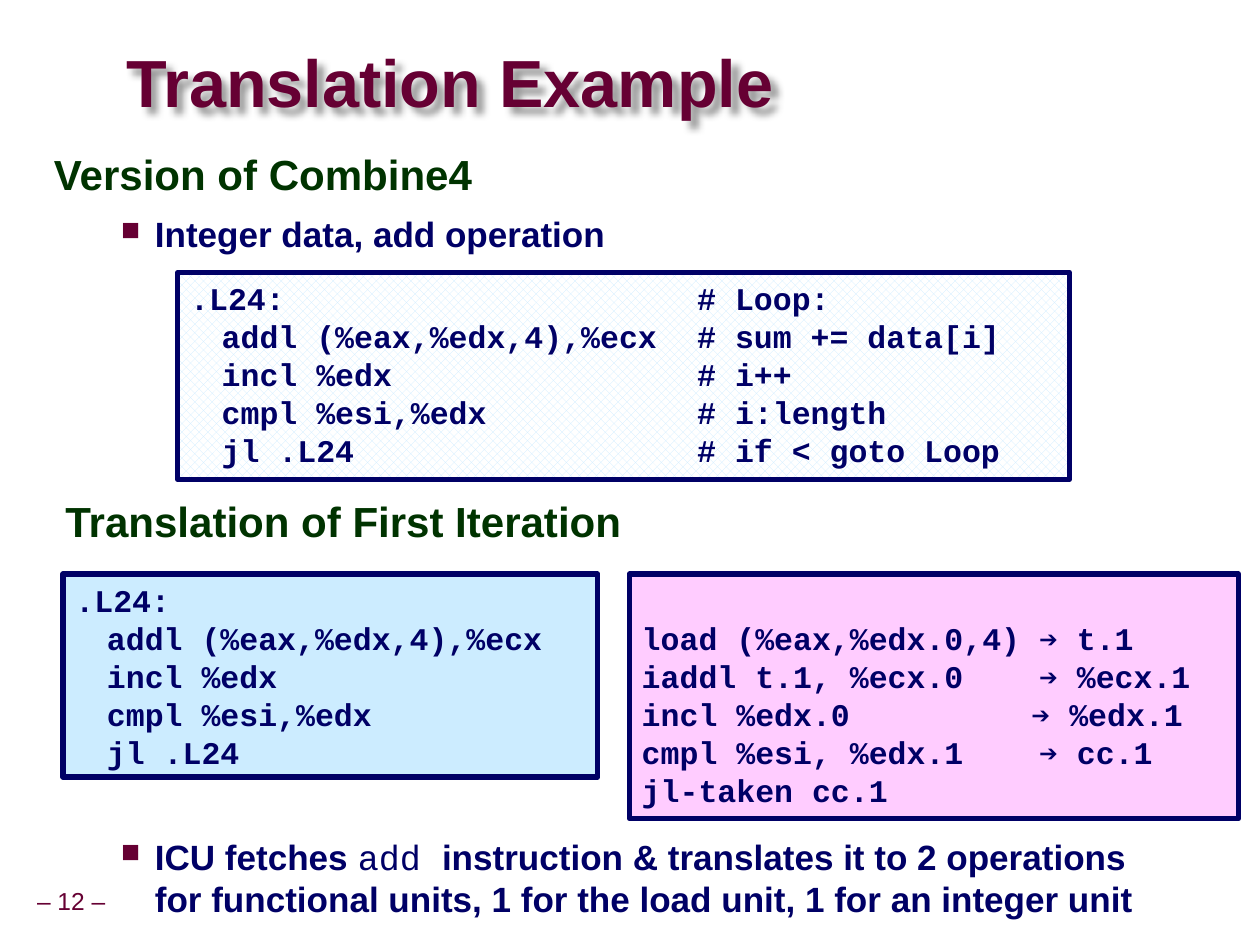
import pptx
import pptx.util
import pptx.dml.color
import pptx.enum.dml
import pptx.enum.shapes
import pptx.enum.text
import pptx.oxml
import pptx.oxml.ns

Inches, Pt = pptx.util.Inches, pptx.util.Pt
RGBColor = pptx.dml.color.RGBColor
Anchor = pptx.enum.text.MSO_ANCHOR

WINE = RGBColor(0x66, 0x00, 0x33)
GREEN = RGBColor(0x00, 0x33, 0x00)
NAVY = RGBColor(0x00, 0x00, 0x66)
SKY = RGBColor(0xCC, 0xEC, 0xFF)
PINK = RGBColor(0xFF, 0xCC, 0xFF)
WHITE = RGBColor(0xFF, 0xFF, 0xFF)
SANS, MONO = "Arial", "Courier New"

WIDTH, HEIGHT = 9.99, 7.49
TEXT_LEFT, TEXT_WIDTH = 0.33, 9.04
TITLE = "Translation Example"
PAGE = "– 12 –"
VERSION, VERSION_POINT = "Version of Combine4", "Integer data, add operation"
ITERATION = "Translation of First Iteration"
ICU_POINT = [
    ("ICU fetches ", SANS, True),
    ("add ", MONO, False),
    ("instruction & translates it to 2 operations for functional units, "
     "1 for the load unit, 1 for an integer unit", SANS, True),
]
ASSEMBLY = [
    (".L24:", "# Loop:"),
    ("\taddl (%eax,%edx,4),%ecx", "# sum += data[i]"),
    ("\tincl %edx", "# i++"),
    ("\tcmpl %esi,%edx", "# i:length"),
    ("\tjl .L24", "# if < goto Loop"),
]
OPERATIONS = [
    "load (%eax,%edx.0,4) ➔ t.1",
    "iaddl t.1, %ecx.0    ➔ %ecx.1",
    "incl %edx.0\t➔ %edx.1",
    "cmpl %esi, %edx.1    ➔ cc.1",
    "jl-taken cc.1",
]
CODE_TABS, OPERATION_TABS = (0.25, 4.02), (0.25, 3.09, 4.02)
CODE_PITCH = 21.7
BOX_TOP = 4.55
CODE_BOXES = [
    (["\t".join(row) for row in ASSEMBLY], (1.41, 2.16, 7.07, 1.64), None, CODE_TABS, 0),
    ([code for code, _ in ASSEMBLY], (0.5, BOX_TOP, 4.24, 1.61), SKY, CODE_TABS, 0),
    (OPERATIONS, (4.99, BOX_TOP, 4.83, 1.94), PINK, OPERATION_TABS, 1),
]
NS = pptx.oxml.ns.nsdecls("a")


def add_xml(parent, xml):
    parent.append(pptx.oxml.parse_xml(xml))


def set_font(font, face, size, color, bold=True):
    font.name, font.size, font.bold = face, Pt(size), bold
    font.color.rgb = color


def set_insets(frame, side, edge):
    frame.margin_left = frame.margin_right = Inches(side)
    frame.margin_top = frame.margin_bottom = Inches(edge)


def add_text(slide, at, side=0.1, edge=0.05, anchor=Anchor.TOP, wrap=True):
    box = slide.shapes.add_textbox(*map(Inches, at))
    frame = box.text_frame
    frame.word_wrap, frame.vertical_anchor = wrap, anchor
    set_insets(frame, side, edge)
    return box


def write_line(paragraph, text, size, color, spacing, bold=True):
    paragraph.text = text
    paragraph.line_spacing = spacing
    set_font(paragraph.font, SANS, size, color, bold)


def make_bullet(paragraph):
    props = paragraph._p.get_or_add_pPr()
    props.set("marL", str(Inches(0.8)))
    props.set("indent", str(-Inches(0.27)))
    add_xml(props, f'<a:buClr {NS}><a:srgbClr val="{WINE}"/></a:buClr>')
    add_xml(props, f'<a:buSzPct {NS} val="75000"/>')
    add_xml(props, f'<a:buChar {NS} char="■"/>')
    paragraph.line_spacing = Pt(24)


def add_code(slide, lines, at, color, tabs, skipped):
    box = slide.shapes.add_shape(pptx.enum.shapes.MSO_SHAPE.RECTANGLE, *map(Inches, at))
    box.shadow.inherit = False
    if color is None:
        box.fill.patterned()
        box.fill.pattern = pptx.enum.dml.MSO_PATTERN.PERCENT_50
        box.fill.fore_color.rgb, box.fill.back_color.rgb = SKY, WHITE
    else:
        box.fill.solid()
        box.fill.fore_color.rgb = color
    box.line.color.rgb, box.line.width = NAVY, Pt(3)
    frame = box.text_frame
    frame.word_wrap, frame.vertical_anchor = True, Anchor.TOP
    set_insets(frame, 0.1, 0.05)
    frame.margin_top += Pt(CODE_PITCH * skipped)
    stops = "".join(f'<a:tab pos="{Inches(tab)}" algn="l"/>' for tab in tabs)
    for number, line in enumerate(lines):
        paragraph = frame.add_paragraph() if number else frame.paragraphs[0]
        paragraph.text = line
        add_xml(paragraph._p.get_or_add_pPr(), f"<a:tabLst {NS}>{stops}</a:tabLst>")
        paragraph.alignment = pptx.enum.text.PP_ALIGN.LEFT
        paragraph.line_spacing = Pt(CODE_PITCH)
        set_font(paragraph.font, MONO, 18, NAVY)


def main():
    """Build the translation example slide."""
    deck = pptx.Presentation()
    deck.slide_width, deck.slide_height = Inches(WIDTH), Inches(HEIGHT)
    slide = deck.slides.add_slide(deck.slide_layouts[6])

    page = add_text(slide, (0.23, 6.99, 0.67, 0.32), 0.05, 0.05, Anchor.MIDDLE, False)
    page_line = page.text_frame.paragraphs[0]
    write_line(page_line, PAGE, 14, WINE, 0.9, False)
    page_line.alignment = pptx.enum.text.PP_ALIGN.CENTER

    title = add_text(slide, (1, 0.37, 6.53, 0.63), 0, 0, Anchor.MIDDLE)
    write_line(title.text_frame.paragraphs[0], TITLE, 38, WINE, 0.87)
    add_xml(title._element.spPr,
            f'<a:effectLst {NS}><a:outerShdw blurRad="50800" dist="63500" dir="2700000">'
            '<a:srgbClr val="000000"><a:alpha val="40000"/></a:srgbClr>'
            '</a:outerShdw></a:effectLst>')

    version = add_text(slide, (TEXT_LEFT, 1.16, TEXT_WIDTH, 0.91)).text_frame
    write_line(version.paragraphs[0], VERSION, 24, GREEN, 0.95)
    point = version.add_paragraph()
    make_bullet(point)
    write_line(point, VERSION_POINT, 20, NAVY, Pt(24))
    point.space_before = Pt(7)

    for code_box in CODE_BOXES:
        add_code(slide, *code_box)

    iteration = add_text(slide, (0.42, 3.91, TEXT_WIDTH, 0.75)).text_frame
    write_line(iteration.paragraphs[0], ITERATION, 24, GREEN, 0.95)

    icu = add_text(slide, (TEXT_LEFT, 6.57, TEXT_WIDTH, 0.75)).text_frame.paragraphs[0]
    make_bullet(icu)
    for text, face, bold in ICU_POINT:
        run = icu.add_run()
        run.text = text
        set_font(run.font, face, 20, NAVY, bold)

    deck.save("out.pptx")


if __name__ == "__main__":
    main()
